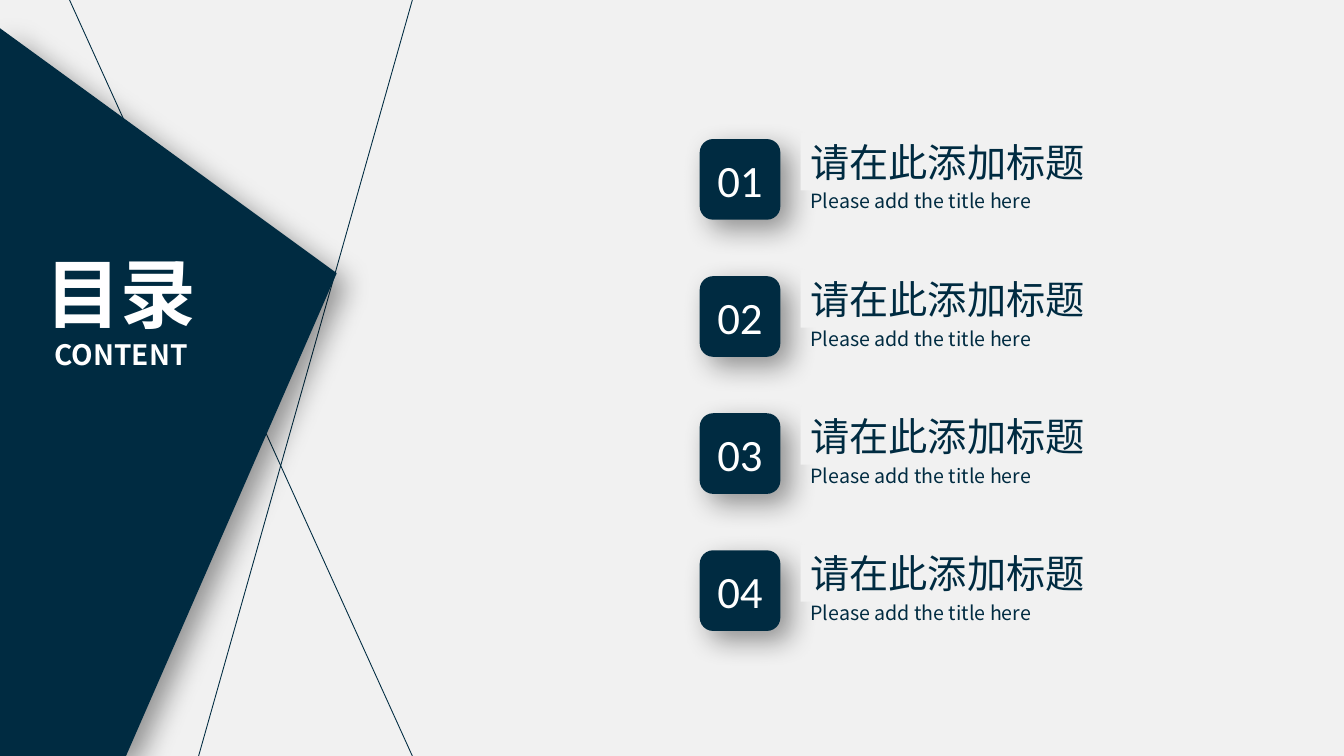
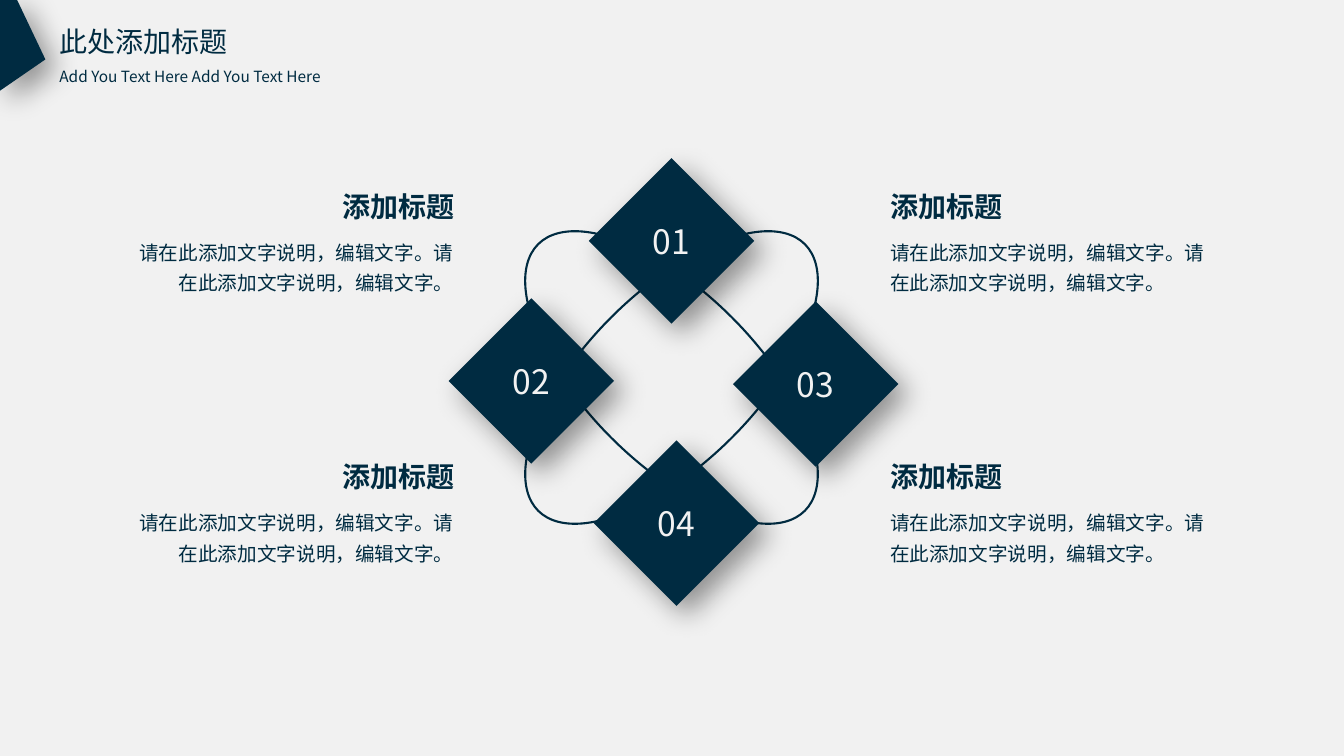
import lxml.etree
import pptx
import pptx.dml.color
import pptx.enum.shapes
import pptx.enum.text
import pptx.oxml.ns
import pptx.util

Inches = pptx.util.Inches
Align = pptx.enum.text.PP_ALIGN
Anchor = pptx.enum.text.MSO_ANCHOR
Preset = pptx.enum.shapes.MSO_SHAPE
qn = pptx.oxml.ns.qn


def color(hex_string):
    return pptx.dml.color.RGBColor.from_string(hex_string)


class DeckBuilder:
    NAVY = "002B41"
    PAPER = "F1F1F1"
    WHITE = "FFFFFF"
    PALE = "F2F2F2"
    FONT = "Noto Sans CJK SC"
    NUMBER_FONT = "Calibri"
    TITLE_ONLY = 5

    def __init__(self):
        self.deck = pptx.Presentation()
        self.deck.slide_width = Inches(13.33)
        self.deck.slide_height = Inches(7.5)
        background = self.deck.slide_master.background.fill
        background.solid()
        background.fore_color.rgb = color(self.PAPER)
        self.page = None

    def add_page(self):
        layout = self.deck.slide_layouts[self.TITLE_ONLY]
        self.page = self.deck.slides.add_slide(layout)

    def set_text(self, shape, text, sizes, ink=NAVY, font=FONT, bold=False,
                 align=Align.LEFT, anchor=Anchor.TOP, spacing=1.0):
        """Fill a shape with text; sizes gives one point size per paragraph."""
        frame = shape.text_frame
        frame.text = text
        frame.word_wrap = True
        frame.auto_size = pptx.enum.text.MSO_AUTO_SIZE.NONE
        frame.vertical_anchor = anchor
        for para, size in zip(frame.paragraphs, sizes):
            para.alignment = align
            para.line_spacing = spacing
            for span in para.runs:
                span.font.size = pptx.util.Pt(size)
                span.font.bold = bold
                span.font.name = font
                span.font.color.rgb = color(ink)
                east_asian = lxml.etree.SubElement(span.font._element, qn("a:ea"))
                east_asian.set("typeface", font)

    def title(self, text, left, top, width, height, sizes, **style):
        """Place the title placeholder in front of what is already drawn."""
        box = self.page.shapes.title
        box.left, box.top = Inches(left), Inches(top)
        box.width, box.height = Inches(width), Inches(height)
        self.page.shapes._spTree.append(box._element)
        self.set_text(box, text, sizes, **style)

    def text(self, text, left, top, width, height, size, **style):
        box = self.page.shapes.add_textbox(
            Inches(left), Inches(top), Inches(width), Inches(height))
        self.set_text(box, text, [size], **style)

    def shape(self, preset, left, top, width, height, fill=None):
        shape = self.page.shapes.add_shape(
            preset, Inches(left), Inches(top), Inches(width), Inches(height))
        self.paint(shape, fill)
        return shape

    def paint(self, shape, fill):
        shape.shadow.inherit = False
        shape.line.fill.background()
        if fill:
            shape.fill.solid()
            shape.fill.fore_color.rgb = color(fill)
        else:
            shape.fill.background()

    def cast_shadow(self, shape):
        effects = shape._element.spPr.find(qn("a:effectLst"))
        shadow = lxml.etree.SubElement(
            effects, qn("a:outerShdw"), blurRad=str(pptx.util.Pt(20)),
            dist=str(pptx.util.Pt(10)), dir="2700000", algn="tl", rotWithShape="0")
        ink = lxml.etree.SubElement(shadow, qn("a:srgbClr"), val="000000")
        lxml.etree.SubElement(ink, qn("a:alpha"), val="40000")

    def badge(self, preset, left, top, side, number, size, **style):
        """Draw a raised navy tile with a centred number."""
        tile = self.shape(preset, left, top, side, side, self.NAVY)
        self.cast_shadow(tile)
        self.set_text(tile, number, [size], align=Align.CENTER,
                      anchor=Anchor.MIDDLE, **style)

    def wedge(self, points):
        """Draw a raised navy polygon through points given in inches."""
        corners = [(Inches(x), Inches(y)) for x, y in points]
        builder = self.page.shapes.build_freeform(*corners[0])
        builder.add_line_segments(corners[1:], close=True)
        polygon = builder.convert_to_shape()
        self.paint(polygon, self.NAVY)
        self.cast_shadow(polygon)

    def outline(self, line, width):
        line.color.rgb = color(self.NAVY)
        line.width = pptx.util.Pt(width)

    def line(self, start, end):
        connector = self.page.shapes.add_connector(
            pptx.enum.shapes.MSO_CONNECTOR.STRAIGHT,
            *(Inches(value) for value in (*start, *end)))
        self.outline(connector.line, 0.63)
        lxml.etree.SubElement(connector._element.spPr, qn("a:effectLst"))

    def ring(self, left, top, width, height, rotation):
        ellipse = self.shape(Preset.OVAL, left, top, width, height)
        ellipse.rotation = rotation
        self.outline(ellipse.line, 1.5)


def build_contents(builder):
    builder.add_page()
    builder.line((4.09, 0), (1.97, 7.5))
    builder.line((4.09, 7.5), (0.69, 0))
    builder.wedge([(1.25, 7.5), (0, 7.5), (0, 0.28), (3.34, 2.71)])
    builder.title("目录\nCONTENT", 0.24, 2.4, 1.92, 1.35, [54, 20],
                  ink=builder.WHITE, bold=True, align=Align.CENTER)
    for index in range(4):
        top = 1.38 + 1.36 * index
        builder.badge(Preset.ROUNDED_RECTANGLE, 6.94, top, 0.8, f"{index + 1:02}", 32,
                      ink=builder.WHITE, font=builder.NUMBER_FONT)
        builder.text("Please add the title here", 7.94, top + 0.45, 2.48, 0.34, 14)
        heading = builder.shape(Preset.RECTANGLE, 7.94, top - 0.06, 3.17, 0.57,
                                builder.PAPER)
        builder.set_text(heading, "请在此添加标题", [28])


def build_four_points(builder):
    builder.add_page()
    builder.title("此处添加标题", 0.49, 0.19, 3.06, 0.44, [20])
    builder.text("Add You Text Here Add You Text Here", 0.49, 0.56, 3.06, 0.32, 11,
                 spacing=1.3)
    builder.wedge([(0.17, 0), (0, 0), (0, 0.9), (0.45, 0.59)])
    for rotation in (45, 135):
        builder.ring(4.79, 2.9, 3.74, 1.69, rotation)
    diamonds = [("01", 5.84, 1.57), ("03", 7.27, 2.99),
                ("04", 5.89, 4.37), ("02", 4.45, 2.96)]
    for number, left, top in diamonds:
        builder.badge(Preset.FLOWCHART_DECISION, left, top, 1.64, number, 24,
                      ink=builder.PALE)
    columns = [(8.73, 8.73, Align.LEFT), (2.71, 1.23, Align.RIGHT)]
    for heading_left, detail_left, align in columns:
        for top in (1.83, 4.51):
            builder.text("添加标题", heading_left, top, 1.9, 0.44, 20,
                         bold=True, align=align)
            builder.text("请在此添加文字说明，编辑文字。请在此添加文字说明，编辑文字。",
                         detail_left, top + 0.44, 3.37, 0.68, 14,
                         align=align, spacing=1.3)


def main():
    builder = DeckBuilder()
    build_contents(builder)
    build_four_points(builder)
    builder.deck.save("out.pptx")


if __name__ == "__main__":
    main()
